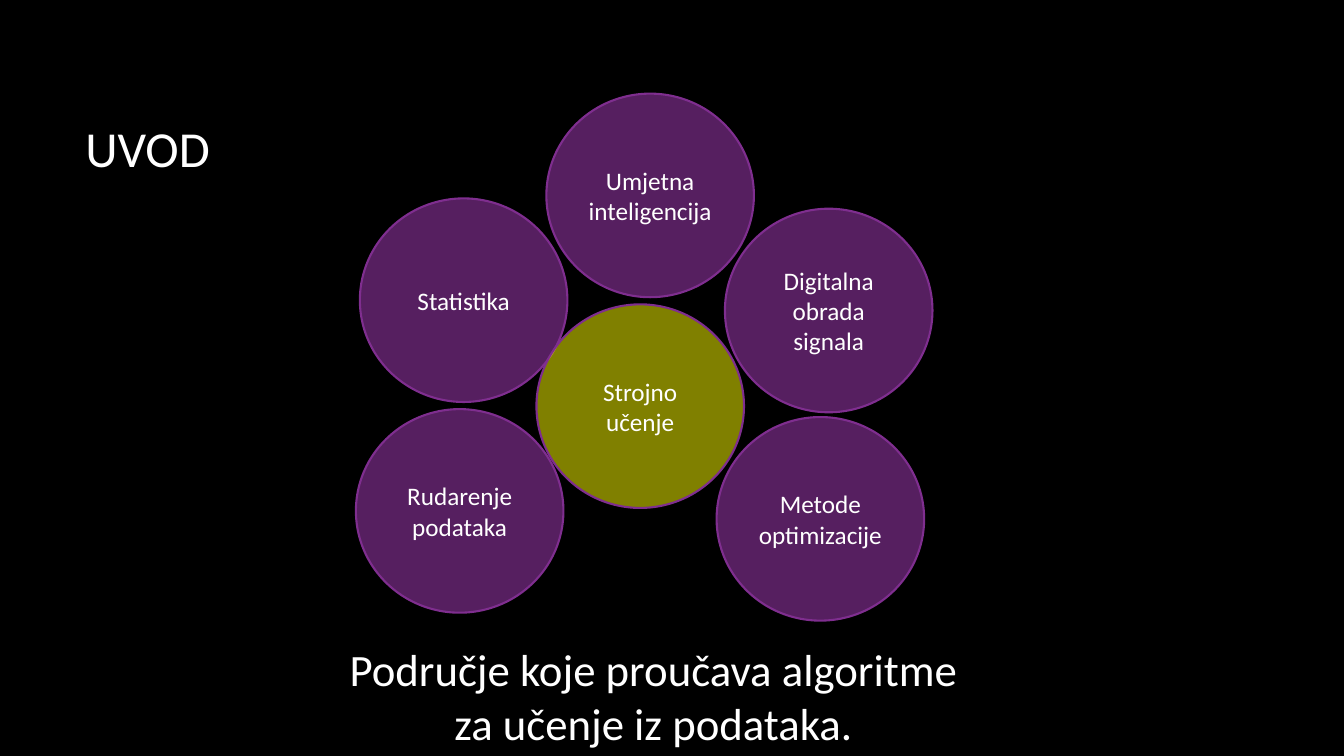
import lxml.etree
import pptx
import pptx.dml.color
import pptx.enum.shapes
import pptx.enum.text
import pptx.oxml.ns
import pptx.util
from pptx.util import Cm

ALIGN = pptx.enum.text.PP_ALIGN
ANCHOR = pptx.enum.text.MSO_ANCHOR
FONT = "Calibri"
BLACK, WHITE = "000000", "FFFFFF"
PURPLE, YELLOW, OUTLINE = "AC3EC1", "FFFF00", "7F2E8F"
CIRCLE_WIDTH, CIRCLE_HEIGHT = 5.23, 5.13
CIRCLES = [
    ("Statistika", 0.1, 2.64, PURPLE),
    ("Umjetna inteligencija", 4.8, 0, PURPLE),
    ("Digitalna obrada signala", 9.3, 2.9, PURPLE),
    ("Strojno učenje", 4.55, 5.31, YELLOW),
    ("Rudarenje podataka", 0, 7.95, PURPLE),
    ("Metode optimizacije", 9.09, 8.15, PURPLE),
]


def set_color(color_format, value):
    color_format.rgb = pptx.dml.color.RGBColor.from_string(value)


def set_fill(fill, value, opacity=100):
    fill.solid()
    set_color(fill.fore_color, value)
    if opacity < 100:
        color = fill._xPr.find(".//" + pptx.oxml.ns.qn("a:srgbClr"))
        alpha = lxml.etree.SubElement(color, pptx.oxml.ns.qn("a:alpha"))
        alpha.set("val", str(opacity * 1000))


def write_paragraph(para, text, size, alignment=ALIGN.LEFT):
    para.text = text
    para.alignment = alignment
    para.font.name = FONT
    para.font.size = pptx.util.Pt(size)
    set_color(para.font.color, WHITE)


def add_title(page, left, top, width, height):
    box = page.shapes.add_textbox(Cm(left), Cm(top), Cm(width), Cm(height))
    frame = box.text_frame
    frame.word_wrap = True
    frame.vertical_anchor = ANCHOR.MIDDLE
    write_paragraph(frame.paragraphs[0], "UVOD", 36)


def add_circle_diagram(page, left, top):
    for label, across, down, color in CIRCLES:
        circle = page.shapes.add_shape(
            pptx.enum.shapes.MSO_SHAPE.OVAL,
            Cm(left + across), Cm(top + down), Cm(CIRCLE_WIDTH), Cm(CIRCLE_HEIGHT))
        circle.shadow.inherit = False
        set_fill(circle.fill, color, 50)
        set_color(circle.line.color, OUTLINE)
        circle.line.width = pptx.util.Pt(1.5)
        frame = circle.text_frame
        frame.word_wrap = True
        frame.vertical_anchor = ANCHOR.MIDDLE
        write_paragraph(frame.paragraphs[0], label, 18, ALIGN.CENTER)


def add_definition(page, left, top, width, height):
    box = page.shapes.add_textbox(Cm(left), Cm(top), Cm(width), Cm(height))
    frame = box.text_frame
    frame.word_wrap = False
    frame.auto_size = pptx.enum.text.MSO_AUTO_SIZE.SHAPE_TO_FIT_TEXT
    write_paragraph(frame.paragraphs[0], "Područje koje proučava algoritme", 32)
    write_paragraph(frame.add_paragraph(), "za učenje iz podataka.", 32, ALIGN.CENTER)


def main():
    deck = pptx.Presentation()
    deck.slide_width, deck.slide_height = Cm(33.87), Cm(19.05)
    page = deck.slides.add_slide(deck.slide_layouts[6])
    set_fill(page.background.fill, BLACK)
    add_title(page, 1.9, 1.7, 28.14, 4.04)
    add_circle_diagram(page, 8.97, 2.36)
    add_definition(page, 8.56, 16.05, 16.23, 3)
    deck.save("out.pptx")


if __name__ == "__main__":
    main()
